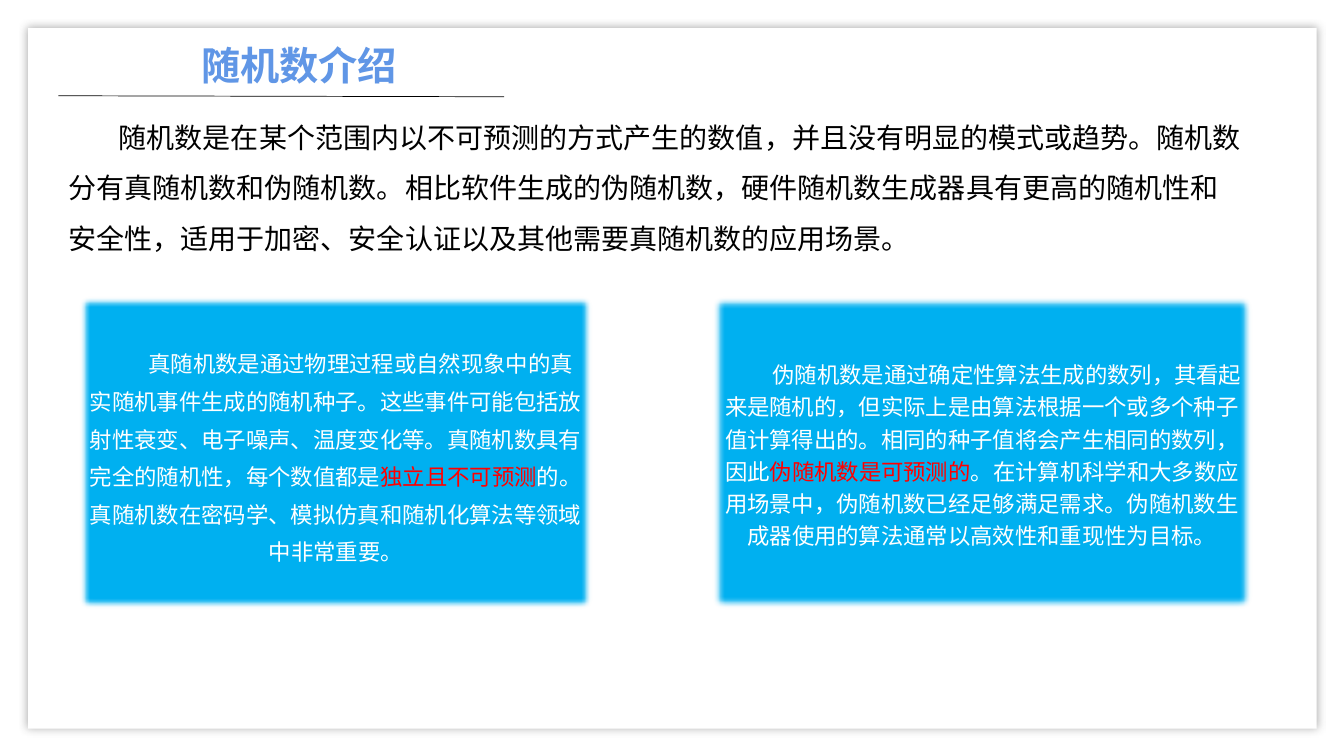
import pptx
import pptx.util
import pptx.dml.color
import pptx.enum.shapes
import pptx.enum.text
import pptx.oxml
import pptx.oxml.ns
from pptx.util import Inches

COLORS = {"white": "FFFFFF", "black": "000000", "title": "6096E6",
          "card": "00B0F0", "accent": "FF0000", "shadow": "404040"}
LATIN, CJK = "Arial", "Noto Sans CJK SC"

# Content: runs are (text, colour)
TITLE = [("随机数介绍", "title")]
INTRO = [("随机数是在某个范围内以不可预测的方式产生的数值，并且没有明显的模式或趋势。"
          "随机数分有真随机数和伪随机数。相比软件生成的伪随机数，硬件随机数生成器具有更高的"
          "随机性和安全性，适用于加密、安全认证以及其他需要真随机数的应用场景。", "black")]
CARDS = [  # left, width, line spacing, runs
    (0.77, 5.12, 1.4, [
        ("真随机数是通过物理过程或自然现象中的真实随机事件生成的随机种子。这些事件可能包括"
         "放射性衰变、电子噪声、温度变化等。真随机数具有完全的随机性，每个数值都是", "white"),
        ("独立且不可预测", "accent"),
        ("的。真随机数在密码学、模拟仿真和随机化算法等领域中非常重要。", "white")]),
    (7.05, 5.38, 1.2, [
        ("伪随机数是通过确定性算法生成的数列，其看起来是随机的，但实际上是由算法根据一个或"
         "多个种子值计算得出的。相同的种子值将会产生相同的数列，因此", "white"),
        ("伪随机数是可预测的", "accent"),
        ("。在计算机科学和大多数应用场景中，伪随机数已经足够满足需求。"
         "伪随机数生成器使用的算法通常以高效性和重现性为目标。", "white")]),
]
CARD_TOP, CARD_HEIGHT = 2.92, 3.14


def rgb(name):
    return pptx.dml.color.RGBColor.from_string(COLORS[name])


def add_effect(sp, effect=""):
    xml = f'<a:effectLst {pptx.oxml.ns.nsdecls("a")}>{effect}</a:effectLst>'
    sp._element.spPr.append(pptx.oxml.parse_xml(xml))


def add_panel(slide, left, top, width, height, color, effect):
    sp = slide.shapes.add_shape(pptx.enum.shapes.MSO_SHAPE.RECTANGLE,
                                Inches(left), Inches(top), Inches(width), Inches(height))
    sp.fill.solid()
    sp.fill.fore_color.rgb = rgb(color)
    sp.line.fill.background()
    add_effect(sp, effect)
    return sp


def write(sp, runs, size, font, align, spacing=1.0, indent=0, bold=False):
    tf = sp.text_frame
    tf.word_wrap = True
    p = tf.paragraphs[0]
    p.alignment = align
    p.line_spacing = spacing
    if indent:
        p._p.get_or_add_pPr().set("indent", str(Inches(indent)))
    for text, color in runs:
        r = p.add_run()
        r.text = text
        r.font.size = pptx.util.Pt(size)
        r.font.bold = bold
        r.font.name = font
        r.font.color.rgb = rgb(color)
        ea = pptx.oxml.parse_xml(f'<a:ea {pptx.oxml.ns.nsdecls("a")} typeface="{CJK}"/>')
        r.font._element.find(pptx.oxml.ns.qn("a:latin")).addnext(ea)


prs = pptx.Presentation()
prs.slide_width, prs.slide_height = Inches(13.33), Inches(7.5)
s = prs.slides.add_slide(prs.slide_layouts[6])
s.background.fill.solid()
s.background.fill.fore_color.rgb = rgb("white")
ALIGN = pptx.enum.text.PP_ALIGN

# Page sheet with a soft shadow
add_panel(s, 0.28, 0.28, 12.78, 6.95, "white",
          f'<a:outerShdw blurRad="{pptx.util.Pt(6)}" dist="0" dir="0" algn="ctr" rotWithShape="0">'
          f'<a:srgbClr val="{COLORS["shadow"]}"><a:alpha val="41000"/></a:srgbClr></a:outerShdw>')

# Title and rule
rule = s.shapes.add_connector(pptx.enum.shapes.MSO_CONNECTOR.STRAIGHT,
                              Inches(0.58), Inches(0.95), Inches(5), Inches(0.96))
rule.line.color.rgb = rgb("black")
rule.line.width = pptx.util.Pt(0.5)
add_effect(rule)
title = s.shapes.add_textbox(Inches(1.22), Inches(0.36), Inches(3.49), Inches(0.57))
write(title, TITLE, 28, LATIN, ALIGN.CENTER, bold=True)

# Introduction
intro = s.shapes.add_textbox(Inches(0.58), Inches(0.98), Inches(11.85), Inches(1.62))
write(intro, INTRO, 20, CJK, ALIGN.LEFT, 1.5, 0.5)

# Two cards with soft edges
for left, width, spacing, runs in CARDS:
    card = add_panel(s, left, CARD_TOP, width, CARD_HEIGHT, "card",
                     f'<a:softEdge rad="{pptx.util.Pt(5)}"/>')
    card.text_frame.vertical_anchor = pptx.enum.text.MSO_ANCHOR.MIDDLE
    write(card, runs, 16, LATIN, ALIGN.CENTER, spacing, 0.5)

prs.save("out.pptx")
